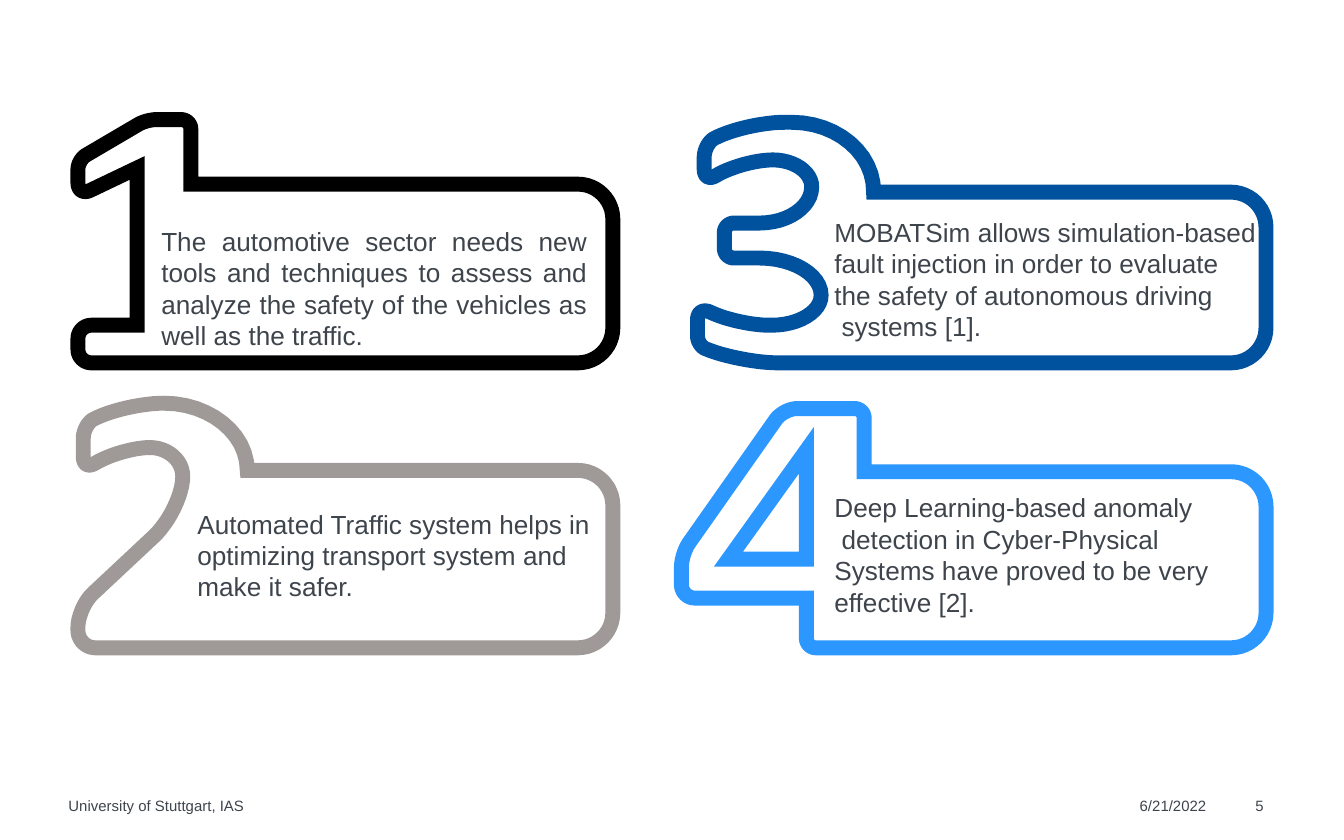
import math
import pptx
import pptx.util
import pptx.dml.color
import pptx.enum.text
import pptx.oxml.ns
from lxml import etree

Inches = pptx.util.Inches
ALIGN = pptx.enum.text.PP_ALIGN
ANCHOR = pptx.enum.text.MSO_ANCHOR
COLORS = {"text": "3E444C", "one": "000000", "two": "9F9998", "three": "00519E", "four": "2C98FF"}

SECTOR = ["The automotive sector needs new tools and techniques to assess and analyze "
          "the safety of the vehicles as well as the traffic."]
STATEMENTS = [
    ((1.37, 3.73, 3.35, 0.81), ["Automated Traffic system helps in",
                                "optimizing transport system and", "make it safer."]),
    ((6.11, 1.56, 3.8, 1.05), ["MOBATSim allows simulation-based", "fault injection in order to evaluate",
                               "the safety of autonomous driving", " systems [1]."]),
    ((6.11, 3.61, 3.31, 1.05), ["Deep Learning-based anomaly", " detection in Cyber-Physical",
                                "Systems have proved to be very", "effective [2]."]),
]
FOOTER = [
    ((8.48, 5.93, 0.58, 0.14), "6/21/2022"),
    ((0.51, 5.93, 6.63, 0.14), "University of Stuttgart, IAS"),
    ((9.34, 5.93, 0.24, 0.14), "5"),
]

SHARP, SOFT, TIP, BAR = 0, 0.07, 0.1, 0.26
CIRCLE = 0.55
STEPS = 12


def hook(left, top, right, weight):
    inner, tip = top + weight, top + weight + 0.17
    return [(left + 0.28, inner, 0.23), (left, tip, TIP), (left, top + 0.16, TIP),
            (left + 0.3, top, 0.3), (right, top, 0.62)]


def digit_one(left, top, bottom):
    stem, stem_end, foot = left + 0.44, left + 0.84, bottom - 0.28
    base = [(left, bottom, TIP), (left, foot, TIP), (stem, foot, SHARP)]
    flag = [(stem, top + 0.36, SHARP), (left, top + 0.57, TIP), (left, top + 0.3, SOFT)]
    return base + flag + [(left + 0.51, top, SOFT), (stem_end, top, SOFT)]


def digit_two(left, top, bottom):
    weight, bowl = 0.33, left + 0.78
    base = [(left, bottom, 0.13), (left, bottom - 0.3, 0.15)]
    inside = [(bowl, top + 0.79, 0.3), (bowl, top + weight, 0.26)]
    return base + inside + hook(left + 0.04, top, left + 1.26, weight)


def digit_three(left, top, bottom):
    weight, low_bowl, high_bowl, notch = 0.28, left + 0.92, left + 0.85, left + 0.2
    low, middle_low, middle_high = bottom - weight, top + 1.01, top + 0.75
    tail = [(left + 0.31, bottom, 0.29), (left, bottom - 0.13, SOFT),
            (left, low - 0.14, TIP), (left + 0.31, low, 0.22)]
    lower = [(low_bowl, low, 0.37), (low_bowl, middle_low, 0.46), (notch, middle_low, SOFT)]
    upper = [(notch, middle_high, SOFT), (high_bowl, middle_high, 0.39), (high_bowl, top + weight, 0.29)]
    return tail + lower + upper + hook(left + 0.05, top, left + 1.32, weight)


def digit_four(left, top, bottom):
    stem, stem_end, arm = left + 0.93, left + 1.36, bottom - 0.37
    base = [(stem, bottom, SOFT), (stem, arm, SHARP), (left, arm, TIP)]
    return base + [(left, arm - 0.33, TIP), (left + 0.76, top, TIP), (stem_end, top, SOFT)]


def triangle(left, top, bottom):
    stem, base = left + 0.93, bottom - 0.66
    return [(stem, top + 0.31), (left + 0.35, base), (stem, base)]


PANELS = [
    {"color": "one", "digit": digit_one, "box": (0.58, 0.89, 2.7), "join": (1.42, 1.37), "right": 4.56},
    {"color": "two", "digit": digit_two, "box": (0.58, 3, 4.82), "join": (1.84, 3.5), "right": 4.56},
    {"color": "three", "digit": digit_three, "box": (5.19, 0.91, 2.7), "join": (6.5, 1.43), "right": 9.42},
    {"color": "four", "digit": digit_four, "box": (5.07, 3.04, 4.82), "join": (6.43, 3.51), "right": 9.42,
     "hole": triangle},
]


def rgb(name):
    return pptx.dml.color.RGBColor.from_string(COLORS[name])


def toward(start, end, share):
    return tuple(a + (b - a) * share for a, b in zip(start, end))


def edge_share(corner, neighbour):
    length = math.dist(corner[:2], neighbour[:2])
    return corner[2] / max(length, corner[2] + neighbour[2])


def round_corner(before, corner, after):
    point = corner[:2]
    if corner[2] == SHARP:
        return [point]
    start = toward(point, before[:2], edge_share(corner, before))
    end = toward(point, after[:2], edge_share(corner, after))
    knots = [start, toward(start, point, CIRCLE), toward(end, point, CIRCLE), end]
    curve = []
    for step in range(STEPS + 1):
        t = step / STEPS
        weights = [math.comb(3, n) * t ** n * (1 - t) ** (3 - n) for n in range(4)]
        curve.append(tuple(sum(w * k[axis] for w, k in zip(weights, knots)) for axis in (0, 1)))
    return curve


def round_outline(corners):
    followers = corners[1:] + corners[:1]
    leaders = corners[-1:] + corners[:-1]
    return [point for trio in zip(leaders, corners, followers) for point in round_corner(*trio)]


def in_emu(points):
    return [(Inches(x), Inches(y)) for x, y in points]


def draw_panel(page, panel):
    join_x, bar_top = panel["join"]
    bottom, right = panel["box"][2], panel["right"]
    bar = [(join_x, bar_top, SHARP), (right, bar_top, BAR), (right, bottom, BAR)]
    outline = in_emu(round_outline(bar + panel["digit"](*panel["box"])))
    builder = page.shapes.build_freeform(*outline[0])
    builder.add_line_segments(outline[1:], close=True)
    if "hole" in panel:
        hole = in_emu(panel["hole"](*panel["box"]))
        builder.move_to(*hole[0])
        builder.add_line_segments(hole[1:] + hole[:1], close=True)
    shape = builder.convert_to_shape()
    shape.shadow.inherit = False
    shape.fill.background()
    shape.line.color.rgb = rgb(panel["color"])
    shape.line.width = pptx.util.Pt(8)
    stroke = shape.element.spPr.find(pptx.oxml.ns.qn("a:ln"))
    etree.SubElement(stroke, pptx.oxml.ns.qn("a:miter"), lim="800000")
    return shape


def write(frame, lines, size, align, insets, anchor=ANCHOR.TOP):
    left, top, right, bottom = map(Inches, insets)
    settings = {"word_wrap": True, "vertical_anchor": anchor, "margin_left": left,
                "margin_top": top, "margin_right": right, "margin_bottom": bottom}
    for name, value in settings.items():
        setattr(frame, name, value)
    for index, line in enumerate(lines):
        para = frame.add_paragraph() if index else frame.paragraphs[0]
        para.alignment = align
        span = para.add_run()
        span.text = line
        for name, value in {"name": "Arial", "size": pptx.util.Pt(size)}.items():
            setattr(span.font, name, value)
        span.font.color.rgb = rgb("text")


def add_text(page, place, lines, size, align, insets):
    box = page.shapes.add_textbox(*map(Inches, place))
    write(box.text_frame, lines, size, align, insets)


def main():
    deck = pptx.Presentation()
    deck.slide_width, deck.slide_height = Inches(10), Inches(6.25)
    page = deck.slides.add_slide(deck.slide_layouts[6])
    for place, label in FOOTER:
        add_text(page, place, [label], 8, ALIGN.LEFT, (0, 0, 0, 0))
    shapes = [draw_panel(page, panel) for panel in PANELS]
    write(shapes[0].text_frame, SECTOR, 14, ALIGN.JUSTIFY, (0.62, 0.03, 0.19, 0.09), ANCHOR.BOTTOM)
    for place, lines in STATEMENTS:
        add_text(page, place, lines, 14, ALIGN.JUSTIFY, (0.1, 0.05, 0.1, 0.05))
    deck.save("out.pptx")


if __name__ == "__main__":
    main()
